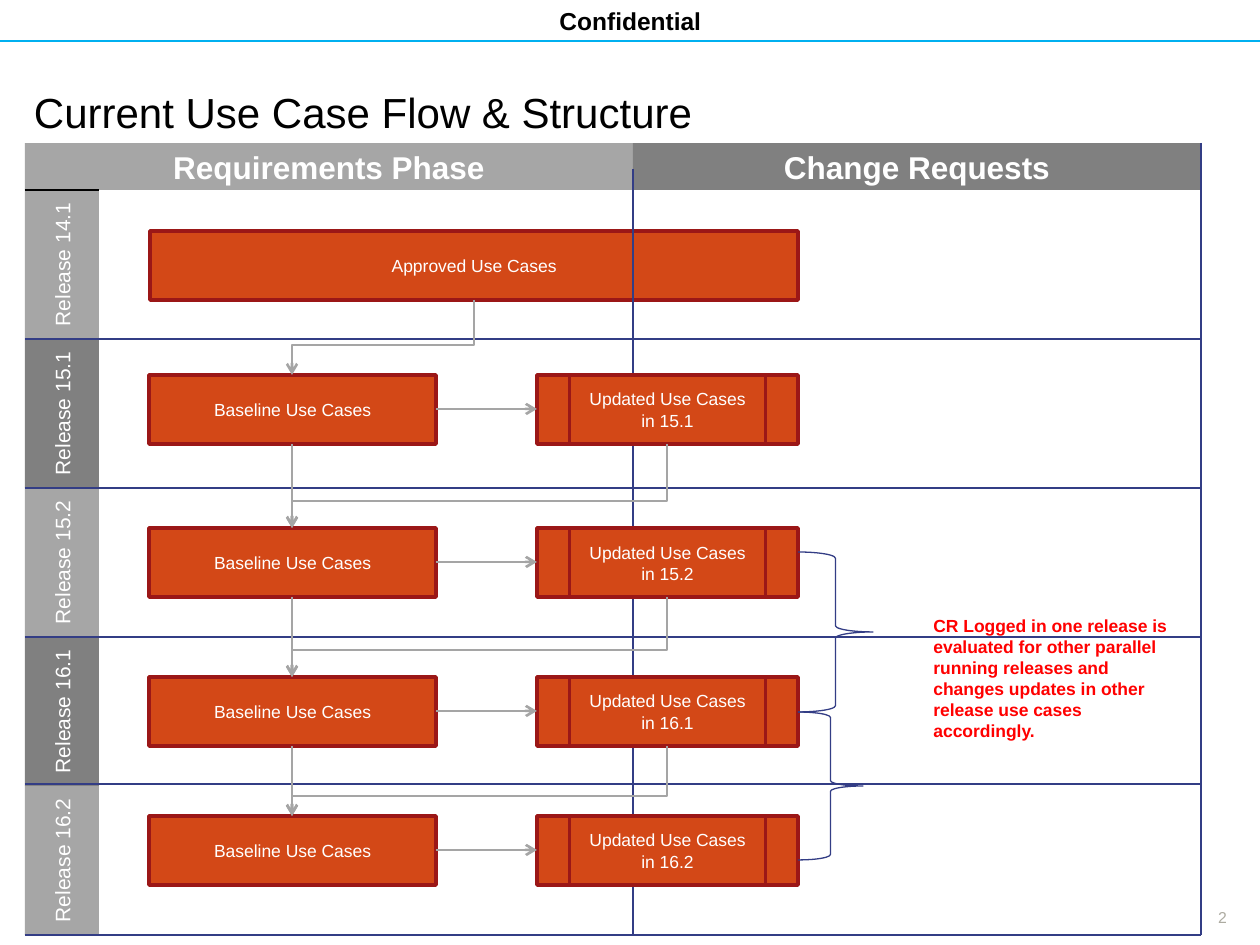
from dataclasses import dataclass

import pptx
import pptx.dml.color
import pptx.enum.shapes
import pptx.enum.text
import pptx.oxml.ns
import pptx.util
from lxml import etree

SCALE = 914400 // 126
GREY, DARK, ORANGE, MAROON = "A6A6A6", "808080", "D34817", "9B1717"
NAVY, ARROW, WHITE, BLACK = "333D85", "A5A5A5", "FFFFFF", "000000"
SHAPE = pptx.enum.shapes.MSO_SHAPE
CONNECTOR = pptx.enum.shapes.MSO_CONNECTOR
ALIGN = pptx.enum.text.PP_ALIGN
ANCHOR = pptx.enum.text.MSO_ANCHOR


@dataclass
class Box:
    x: int
    y: int
    w: int
    h: int


@dataclass
class Release:
    name: str
    y: int
    bend: int  # height of the horizontal part of the arrow leading on


def px(n: float) -> int:
    return round(n * SCALE)


def rgb(value: str):
    return pptx.dml.color.RGBColor.from_string(value)


def write(tf, text: str, size: int, color: str, bold: bool = False,
          align=ALIGN.LEFT, spacing: float = 1.0) -> None:
    tf.word_wrap = True
    p = tf.paragraphs[0]
    p.alignment = align
    p.line_spacing = spacing
    r = p.add_run()
    r.text = text
    r.font.name = "Arial"
    r.font.size = pptx.util.Pt(size)
    r.font.bold = bold
    r.font.color.rgb = rgb(color)


def add_text(box: Box, text: str, size: int, color: str, inset: bool = False, **style):
    sp = s.shapes.add_textbox(px(box.x), px(box.y), px(box.w), px(box.h))
    tf = sp.text_frame
    if not inset:
        tf.margin_left = tf.margin_right = tf.margin_top = tf.margin_bottom = 0
    write(tf, text, size, color, **style)
    return tf


def add_box(kind, box: Box, fill: str = "", line: str = "", width: float = 2,
            text: str = "", size: int = 10, bold: bool = False):
    sp = s.shapes.add_shape(kind, px(box.x), px(box.y), px(box.w), px(box.h))
    sp.shadow.inherit = False
    if fill:
        sp.fill.solid()
        sp.fill.fore_color.rgb = rgb(fill)
    else:
        sp.fill.background()
    if line:
        sp.line.color.rgb = rgb(line)
        sp.line.width = pptx.util.Pt(width)
    else:
        sp.line.fill.background()
    if text:
        sp.text_frame.vertical_anchor = ANCHOR.MIDDLE
        write(sp.text_frame, text, size, WHITE, bold, ALIGN.CENTER)
    return sp


def add_line(x1: int, y1: int, x2: int, y2: int, color: str = NAVY,
             width: float = 0.75, arrow: bool = False, kind=CONNECTOR.STRAIGHT):
    c = s.shapes.add_connector(kind, px(x1), px(y1), px(x2), px(y2))
    c.line.color.rgb = rgb(color)
    c.line.width = pptx.util.Pt(width)
    if arrow:
        ln = c.line._get_or_add_ln()
        etree.SubElement(ln, pptx.oxml.ns.qn("a:tailEnd"), type="arrow")
    etree.SubElement(c._element.spPr, pptx.oxml.ns.qn("a:effectLst"))
    return c


def add_arrow(x1: int, y1: int, x2: int, y2: int) -> None:
    add_line(x1, y1, x2, y2, ARROW, 1.5, True)


def add_bent_arrow(x1: int, y1: int, x2: int, y2: int, bend: int) -> None:
    """Go down, left at the bend, then down; a quarter turn of the preset."""
    c = add_line(x1, y1, x2, y2, ARROW, 1.5, True, CONNECTOR.ELBOW)
    w, h = y2 - y1, x1 - x2
    xfrm = c._element.spPr.find(pptx.oxml.ns.qn("a:xfrm"))
    xfrm.attrib.pop("flipH", None)
    xfrm.set("rot", "5400000")
    c.left, c.top = px((x1 + x2 - w) / 2), px((y1 + y2 - h) / 2)
    c.width, c.height = px(w), px(h)
    geom = c._element.spPr.find(pptx.oxml.ns.qn("a:prstGeom"))
    av = geom.find(pptx.oxml.ns.qn("a:avLst"))
    if av is None:
        av = etree.SubElement(geom, pptx.oxml.ns.qn("a:avLst"))
    etree.SubElement(av, pptx.oxml.ns.qn("a:gd"), name="adj1",
                     fmla=f"val {round(100000 * (bend - y1) / w)}")


prs = pptx.Presentation()
prs.slide_width, prs.slide_height = px(1260), px(945)
s = prs.slides.add_slide(prs.slide_layouts[6])

# Page furniture and title
tf = add_text(Box(1191, 908, 36, 19), "2", 9, "ADABA1", align=ALIGN.RIGHT)
tf.vertical_anchor = ANCHOR.BOTTOM
add_line(0, 41, 1260, 41, "00B0F0", 1)
add_text(Box(454, 9, 353, 26), "Confidential", 14, BLACK, bold=True,
         align=ALIGN.CENTER, spacing=0.9)
add_text(Box(34, 92, 1010, 45), "Current Use Case Flow & Structure", 24, BLACK, spacing=0.9)

# Grid measures
LEFT, MIDDLE, RIGHT = 25, 633, 1201
HEAD, TOP, ROW, LABEL_W = 143, 190, 149, 74
BASE_X, BASE_W, UPDATE_X, UPDATE_W, BOX_H = 149, 287, 537, 261, 69
BASE_MID, UPDATE_MID = BASE_X + BASE_W // 2, UPDATE_X + UPDATE_W // 2
UPDATE_RIGHT = UPDATE_X + UPDATE_W
APPROVED = Box(150, 231, 648, BOX_H)
RELEASES = [Release("15.1", 375, 501), Release("15.2", 528, 650),
            Release("16.1", 677, 796), Release("16.2", 816, 0)]

# Column headings and release labels
add_box(SHAPE.RECTANGLE, Box(LEFT, HEAD, MIDDLE - LEFT, TOP - HEAD), GREY,
        text="Requirements Phase", size=18, bold=True)
for i, name in enumerate(["14.1"] + [rel.name for rel in RELEASES]):
    label = add_box(SHAPE.RECTANGLE, Box(LEFT, TOP + i * ROW, LABEL_W, ROW),
                    DARK if i % 2 else GREY, text=f"Release {name}", size=12)
    label.text_frame._txBody.bodyPr.set("vert", "vert270")
add_box(SHAPE.FLOWCHART_PROCESS, APPROVED, ORANGE, MAROON, text="Approved Use Cases")
add_box(SHAPE.RECTANGLE, Box(MIDDLE, HEAD, RIGHT - MIDDLE, TOP - HEAD), DARK,
        text="Change Requests", size=18, bold=True)

# Grid lines
add_line(MIDDLE, 169, MIDDLE, 935)
add_line(RIGHT, HEAD, RIGHT, 935)
add_line(LEFT, TOP, LEFT + LABEL_W, TOP, BLACK)
for y in (339, 488, 637, 784, 935):
    add_line(LEFT, y, RIGHT, y)

# Use case boxes, one pair for each release
for rel in RELEASES:
    add_box(SHAPE.FLOWCHART_PROCESS, Box(BASE_X, rel.y, BASE_W, BOX_H),
            ORANGE, MAROON, text="Baseline Use Cases")
    add_box(SHAPE.FLOWCHART_PREDEFINED_PROCESS, Box(UPDATE_X, rel.y, UPDATE_W, BOX_H),
            ORANGE, MAROON, text=f"Updated Use Cases in {rel.name}")
    add_arrow(BASE_X + BASE_W, rel.y + BOX_H // 2, UPDATE_X, rel.y + BOX_H // 2)

# Flow from each release to the next
add_bent_arrow(APPROVED.x + APPROVED.w // 2, APPROVED.y + BOX_H, BASE_MID, RELEASES[0].y, 345)
for rel, following in zip(RELEASES, RELEASES[1:]):
    add_arrow(BASE_MID, rel.y + BOX_H, BASE_MID, following.y)
    add_bent_arrow(UPDATE_MID, rel.y + BOX_H, BASE_MID, following.y, rel.bend)

# Parallel releases and remark
for brace in (Box(UPDATE_RIGHT, 552, 75, 160), Box(UPDATE_RIGHT, 712, 65, 148)):
    add_box(SHAPE.RIGHT_BRACE, brace, line=NAVY, width=0.75)
add_text(Box(921, 609, 261, 140),
         "CR Logged in one release is evaluated for other parallel running releases "
         "and changes updates in other release use cases accordingly.",
         10, "FF0000", inset=True, bold=True)

prs.save("out.pptx")
